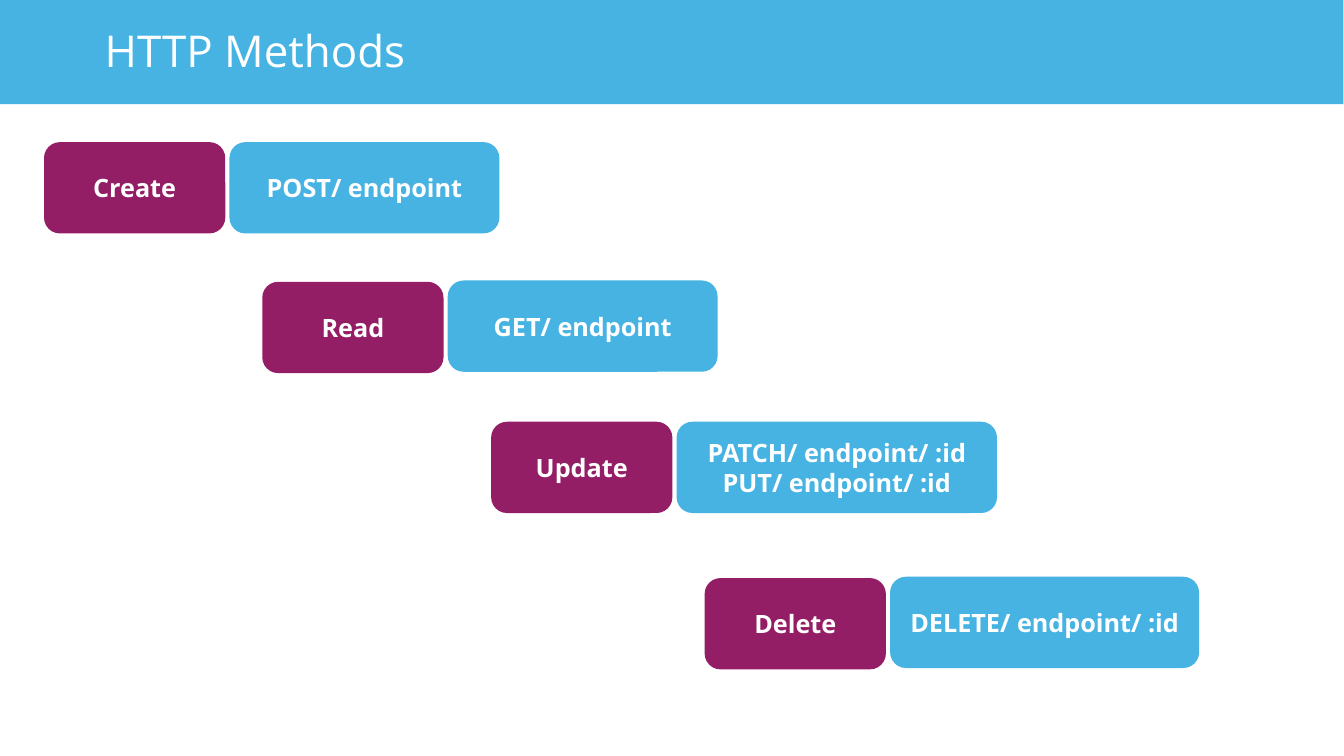
from pptx import Presentation
from pptx.dml.color import RGBColor
from pptx.enum.shapes import MSO_SHAPE
from pptx.enum.text import MSO_ANCHOR, MSO_AUTO_SIZE, PP_ALIGN
from pptx.util import Cm, Pt

RECT = MSO_SHAPE.RECTANGLE
ROUNDED = MSO_SHAPE.ROUNDED_RECTANGLE
LEFT, CENTER = PP_ALIGN.LEFT, PP_ALIGN.CENTER
MIDDLE = MSO_ANCHOR.MIDDLE
GROW = MSO_AUTO_SIZE.SHAPE_TO_FIT_TEXT

BLUE, PURPLE, WHITE = "46B3E3", "941E66", "FFFFFF"
FONT = "Open Sans"

BOX_HEIGHT = 3.38
ACTION_WIDTH = 6.78
GAP = 0.23

# action, left, top, endpoint lines, endpoint top, endpoint width (cm)
METHODS = [
    ("Create", 1.7, 5.41, ["POST/ endpoint"], 5.41, 10.13),
    ("Read", 9.95, 10.69, ["GET/ endpoint"], 10.64, 10.13),
    ("Update", 18.6, 15.98,
     ["PATCH/ endpoint/ :id", "PUT/ endpoint/ :id"], 15.98, 12.04),
    ("Delete", 26.67, 21.89, ["DELETE/ endpoint/ :id"], 21.84, 11.61),
]


def color(hex_code):
    return RGBColor.from_string(hex_code)


def write(tf, lines, size=27, bold=False, align=CENTER, spacing=None):
    """Fill a text frame with one paragraph per line."""
    for i, line in enumerate(lines):
        p = tf.paragraphs[0] if i == 0 else tf.add_paragraph()
        p.alignment = align
        if spacing:
            p.line_spacing = Pt(spacing)
        r = p.add_run()
        r.text = line
        r.font.name = FONT
        r.font.size = Pt(size)
        r.font.bold = bold
        r.font.color.rgb = color(WHITE)


class Deck:
    def __init__(self, slide):
        self.s = slide

    def shape(self, kind, left, top, width, height, fill):
        sp = self.s.shapes.add_shape(
            kind, Cm(left), Cm(top), Cm(width), Cm(height))
        sp.shadow.inherit = False
        sp.fill.solid()
        sp.fill.fore_color.rgb = color(fill)
        return sp

    def band(self, width, height):
        sp = self.shape(RECT, 0, 0, width, height, BLUE)
        sp.line.fill.background()

    def title(self, text, left, top, width, height):
        sp = self.s.shapes.add_textbox(
            Cm(left), Cm(top), Cm(width), Cm(height))
        tf = sp.text_frame
        tf.word_wrap = True
        tf.auto_size = GROW
        tf.margin_left = tf.margin_right = 0
        tf.margin_top = tf.margin_bottom = 0
        write(tf, [text], size=47, align=LEFT, spacing=61.1)

    def box(self, lines, left, top, width, fill):
        sp = self.shape(ROUNDED, left, top, width, BOX_HEIGHT, fill)
        sp.line.color.rgb = color(fill)
        sp.line.width = Pt(2)
        tf = sp.text_frame
        tf.word_wrap = True
        tf.vertical_anchor = MIDDLE
        write(tf, lines, bold=True)


def main():
    prs = Presentation()
    prs.slide_width, prs.slide_height = Cm(50.8), Cm(28.58)
    deck = Deck(prs.slides.add_slide(prs.slide_layouts[6]))

    # Header
    deck.band(50.78, 3.94)
    deck.title("HTTP Methods", 3.96, 0.74, 44, 2.06)

    # Staircase of actions and their endpoints
    for action, left, top, endpoints, endpoint_top, width in METHODS:
        deck.box([action], left, top, ACTION_WIDTH, PURPLE)
        deck.box(endpoints, left + ACTION_WIDTH + GAP, endpoint_top, width, BLUE)

    prs.save("out.pptx")


if __name__ == "__main__":
    main()
